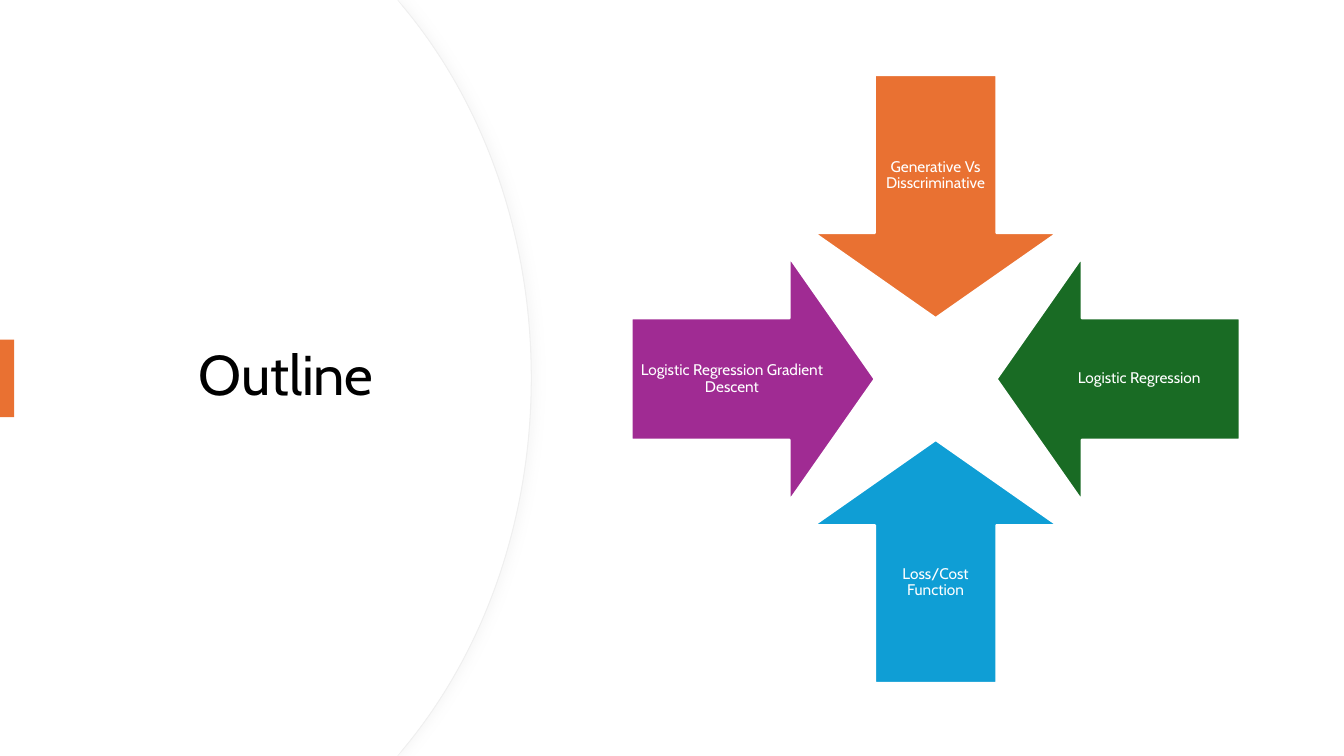
from dataclasses import dataclass

import lxml.etree
import pptx
import pptx.dml.color
import pptx.enum.shapes
import pptx.enum.text
import pptx.oxml
import pptx.oxml.ns
import pptx.util

Inches = pptx.util.Inches
Pt = pptx.util.Pt
qn = pptx.oxml.ns.qn
SHAPE = pptx.enum.shapes.MSO_SHAPE
ALIGN = pptx.enum.text.PP_ALIGN

COLORS = {
    "white": "FFFFFF",
    "black": "000000",
    "rim": "EFEFEF",
    "shadow": "D9D9D9",
    "orange": "E97132",
    "green": "196B24",
    "blue": "0F9ED5",
    "purple": "A02B93",
}
FONT = "Cabin"
SLIDE_W, SLIDE_H = 13.33, 7.5
CENTER_X, CENTER_Y = 9.28, 3.76
ARROW_SIZE, ARROW_REACH = 2.41, 1.81
LABEL_LONG, LABEL_SHORT, LABEL_REACH = 1.99, 1.2, 2.02
UNITS = 100


@dataclass
class Topic:
    text: str
    color: str
    dx: int
    dy: int
    rotation: int


TOPICS = [
    Topic("Generative Vs Disscriminative", "orange", 0, -1, 0),
    Topic("Logistic Regression", "green", 1, 0, 90),
    Topic("Loss/Cost Function", "blue", 0, 1, 180),
    Topic("Logistic Regression Gradient Descent", "purple", -1, 0, 270),
]


def rgb(name: str) -> pptx.dml.color.RGBColor:
    return pptx.dml.color.RGBColor.from_string(COLORS[name])


def paint(shape, fill: str, line: str = "", width: float = 0) -> None:
    shape.shadow.inherit = False
    shape.fill.solid()
    shape.fill.fore_color.rgb = rgb(fill)
    if line:
        shape.line.color.rgb = rgb(line)
        shape.line.width = Pt(width)
    else:
        shape.line.fill.background()


def format_text(tf, size: float, color: str, frame: dict, align) -> None:
    for name, value in frame.items():
        setattr(tf, name, value)
    p = tf.paragraphs[0]
    p.alignment = align
    p.line_spacing = 0.9
    font = p.runs[0].font
    for name, value in {"name": FONT, "size": Pt(size)}.items():
        setattr(font, name, value)
    font.color.rgb = rgb(color)


def bend(segment, controls: list) -> None:
    segment.tag = qn("a:cubicBezTo")
    for i, (x, y) in enumerate(controls):
        pt = lxml.etree.Element(qn("a:pt"), x=str(round(x * UNITS)), y=str(round(y * UNITS)))
        segment.insert(i, pt)


def add_panel(s, right: float):
    shoulder = right - 1.26
    outline = [(3.94, 0), (shoulder, 0.08), (right, SLIDE_H / 2),
               (shoulder, SLIDE_H - 0.08), (3.94, SLIDE_H), (0, SLIDE_H)]
    builder = s.shapes.build_freeform(0, 0, scale=Inches(1) / UNITS)
    builder.add_line_segments([(round(x * UNITS), round(y * UNITS)) for x, y in outline])
    panel = builder.convert_to_shape()
    segments = list(panel.element.spPr.iter(qn("a:lnTo")))
    upper = [(right - 0.48, 1.02), (right, 2.32)]
    bend(segments[2], upper)
    bend(segments[3], [(x, SLIDE_H - y) for x, y in reversed(upper)])
    return panel


def add_soft_shadow(shape) -> None:
    effects = shape.element.spPr.find(qn("a:effectLst"))
    effects.append(pptx.oxml.parse_xml(
        f'<a:outerShdw {pptx.oxml.ns.nsdecls("a")} blurRad="{Pt(7)}" dist="{Pt(3)}" '
        f'dir="0" algn="l" rotWithShape="0"><a:srgbClr val="{COLORS["shadow"]}">'
        '<a:alpha val="20000"/></a:srgbClr></a:outerShdw>'
    ))


def centered_box(x: float, y: float, w: float, h: float) -> list:
    return [Inches(v) for v in (x - w / 2, y - h / 2, w, h)]


def add_topic(group, topic: Topic) -> None:
    x = CENTER_X + topic.dx * ARROW_REACH
    y = CENTER_Y + topic.dy * ARROW_REACH
    arrow = group.shapes.add_shape(
        SHAPE.DOWN_ARROW, *centered_box(x, y, ARROW_SIZE, ARROW_SIZE))
    arrow.rotation = topic.rotation
    arrow.adjustments[0] = 0.5
    arrow.adjustments[1] = 0.35
    paint(arrow, topic.color, "white", 1.5)

    x = CENTER_X + topic.dx * LABEL_REACH
    y = CENTER_Y + topic.dy * LABEL_REACH
    w, h = (LABEL_LONG, LABEL_SHORT) if topic.dx else (LABEL_SHORT, LABEL_LONG)
    tf = group.shapes.add_textbox(*centered_box(x, y, w, h)).text_frame
    tf.text = topic.text
    frame = {f"margin_{side}": Inches(0.08) for side in ("left", "right", "top", "bottom")}
    frame.update(word_wrap=True, vertical_anchor=pptx.enum.text.MSO_ANCHOR.MIDDLE)
    format_text(tf, 11, "white", frame, ALIGN.CENTER)


def add_title(s) -> None:
    title = s.shapes.title
    box = {"left": 0.68, "top": 1.27, "width": 3.94, "height": 4.95}
    for name, value in box.items():
        setattr(title, name, Inches(value))
    tf = title.text_frame
    tf.text = "Outline"
    frame = {
        "word_wrap": True,
        "auto_size": pptx.enum.text.MSO_AUTO_SIZE.NONE,
        "vertical_anchor": pptx.enum.text.MSO_ANCHOR.MIDDLE,
    }
    format_text(tf, 40, "black", frame, ALIGN.LEFT)
    p = tf.paragraphs[0]
    pPr = p._p.get_or_add_pPr()
    pPr.set("marL", str(Inches(1.19)))
    pPr.set("indent", "0")
    p.runs[0]._r.get_or_add_rPr().set("spc", "-10")


def main() -> None:
    prs = pptx.Presentation()
    prs.slide_width, prs.slide_height = Inches(SLIDE_W), Inches(SLIDE_H)
    s = prs.slides.add_slide(prs.slide_layouts[5])

    rim = add_panel(s, 5.27)
    paint(rim, "white", "rim", 0.75)
    add_soft_shadow(rim)
    panel = add_panel(s, 5.26)
    paint(panel, "white")

    add_title(s)
    panel.element.addnext(s.shapes.title.element)

    accent = s.shapes.add_shape(
        SHAPE.RECTANGLE, Inches(0), Inches(3.37), Inches(0.14), Inches(0.77))
    paint(accent, "orange")

    group = s.shapes.add_group_shape()
    for topic in TOPICS:
        add_topic(group, topic)
    prs.save("out.pptx")


if __name__ == "__main__":
    main()
